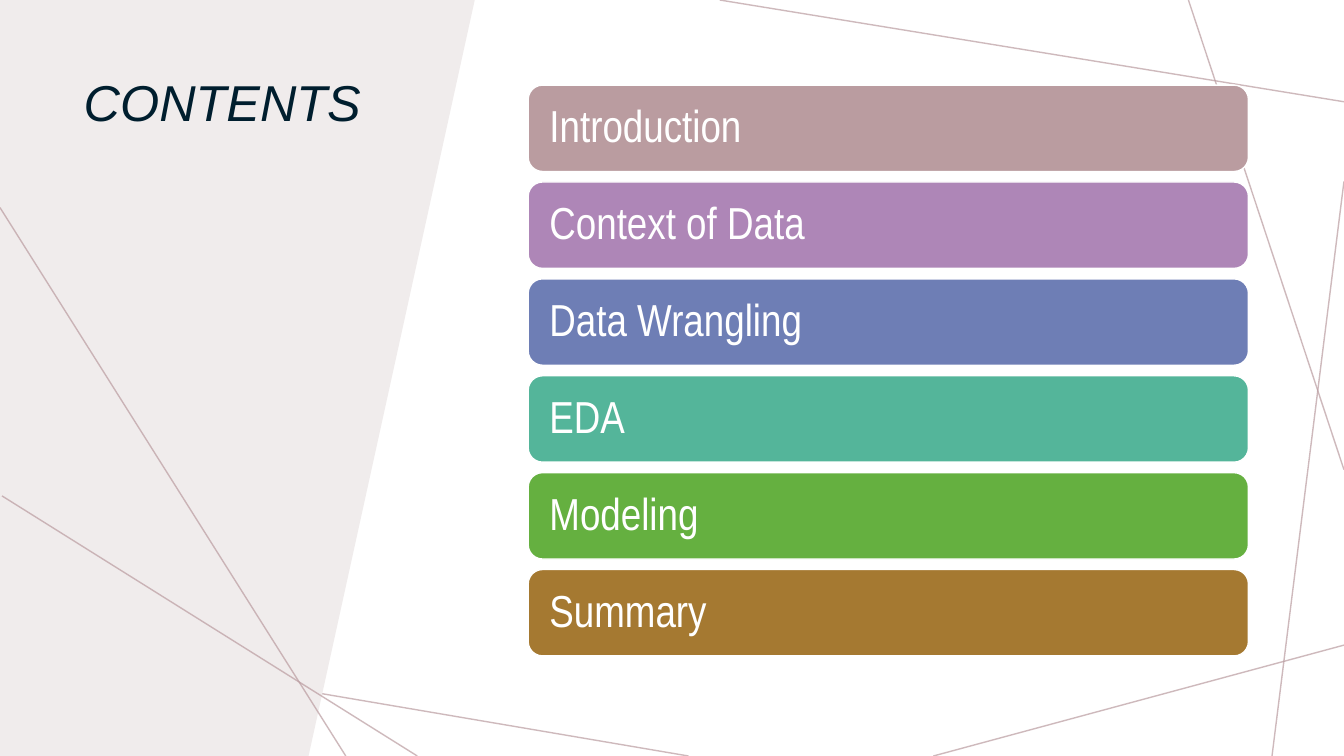
"""Build a contents slide with coloured section bars."""
import dataclasses

import lxml.etree
import pptx
import pptx.dml.color
import pptx.enum.shapes
import pptx.enum.text
import pptx.oxml.ns
import pptx.util

Pt = pptx.util.Pt
TOP = pptx.enum.text.MSO_ANCHOR.TOP
MIDDLE = pptx.enum.text.MSO_ANCHOR.MIDDLE


@dataclasses.dataclass(frozen=True)
class Theme:
    """Colours, fonts and sizes shared by the slide."""
    white: str = "FFFFFF"
    ink: str = "001E2E"
    panel: str = "F0ECEC"
    accent: str = "BA9CA0"
    bars: tuple = ("BA9CA0", "AE86B7", "6E7EB5", "54B59A", "65B040", "A57931")
    title_font: str = "Arial"
    bar_font: str = "Arial Narrow"
    title_size: int = 36
    bar_size: int = 32
    line_width: int = 1


THEME = Theme()
WIDTH, HEIGHT = 960, 540
SECTIONS = ("Introduction", "Context of Data", "Data Wrangling", "EDA", "Modeling", "Summary")
BACK_LINES = (
    ((491.8, 540), (0, 456.4)),
    ((960, 460.8), (666.7, 540)),
    ((960, 129.6), (908.6, 540)),
    ((960, 335.5), (848.9, 0)),
    ((960, 72.7), (514.1, 0)),
)
FRONT_LINES = (
    ((298.1, 540), (1.4, 354.2)),
    ((0, 148.3), (247, 540)),
)


def color(value):
    """Return an RGB colour from its hexadecimal form."""
    return pptx.dml.color.RGBColor.from_string(value)


def write_text(shape, text, *, font, size, ink, italic=False, anchor=MIDDLE, insets=(7.2, 3.6)):
    """Write one left-aligned paragraph into a shape."""
    frame = shape.text_frame
    frame.word_wrap = True
    frame.auto_size = pptx.enum.text.MSO_AUTO_SIZE.NONE
    frame.vertical_anchor = anchor
    frame.margin_left = frame.margin_right = Pt(insets[0])
    frame.margin_top = frame.margin_bottom = Pt(insets[1])
    paragraph = frame.paragraphs[0]
    paragraph.alignment = pptx.enum.text.PP_ALIGN.LEFT
    paragraph.line_spacing = 0.9
    run = paragraph.add_run()
    run.text = text
    run.font.name = font
    run.font.size = Pt(size)
    run.font.italic = italic
    run.font.color.rgb = color(ink)


def draw_lines(slide, box, lines):
    """Draw translucent accent lines relative to the box."""
    left, top, _, _ = box
    name = pptx.oxml.ns.qn
    for (start_x, start_y), (end_x, end_y) in lines:
        connector = slide.shapes.add_connector(
            pptx.enum.shapes.MSO_CONNECTOR.STRAIGHT,
            Pt(left + start_x), Pt(top + start_y), Pt(left + end_x), Pt(top + end_y))
        connector.line.width = Pt(THEME.line_width)
        connector.line.color.rgb = color(THEME.accent)
        properties = connector.element.spPr
        tint = properties.find(".//" + name("a:srgbClr"))
        lxml.etree.SubElement(tint, name("a:alpha"), val="70000")
        lxml.etree.SubElement(properties, name("a:effectLst"))


def draw_panel(slide, box):
    """Draw the slanted panel that fills the box."""
    left, top, width, height = box
    builder = slide.shapes.build_freeform(Pt(left), Pt(top))
    builder.add_line_segments([
        (Pt(left + width), Pt(top)),
        (Pt(left + width * 0.65), Pt(top + height)),
        (Pt(left), Pt(top + height)),
    ])
    panel = builder.convert_to_shape()
    panel.shadow.inherit = False
    panel.fill.solid()
    panel.fill.fore_color.rgb = color(THEME.panel)
    panel.line.fill.background()


def place_title(slide, box, text):
    """Place the title placeholder in the box, in front of the panel."""
    title = slide.shapes.title
    title.left, title.top, title.width, title.height = map(Pt, box)
    slide.shapes.element.append(title.element)
    write_text(title, text, font=THEME.title_font, size=THEME.title_size,
               ink=THEME.ink, italic=True, anchor=TOP)


def draw_bars(slide, box, sections, gap):
    """Stack one rounded bar per section evenly in the box."""
    left, top, width, height = box
    bar_height = (height - gap * (len(sections) - 1)) / len(sections)
    for index, (section, fill) in enumerate(zip(sections, THEME.bars)):
        bar = slide.shapes.add_shape(
            pptx.enum.shapes.MSO_SHAPE.ROUNDED_RECTANGLE,
            Pt(left), Pt(top + index * (bar_height + gap)), Pt(width), Pt(bar_height))
        bar.shadow.inherit = False
        bar.fill.solid()
        bar.fill.fore_color.rgb = color(fill)
        bar.line.color.rgb = color(THEME.white)
        bar.line.width = Pt(THEME.line_width)
        write_text(bar, section, font=THEME.bar_font, size=THEME.bar_size,
                   ink=THEME.white, insets=(12.2, 9.6))


def build_contents(presentation):
    """Build the contents slide."""
    slide = presentation.slides.add_slide(presentation.slide_layouts[5])
    slide.background.fill.solid()
    slide.background.fill.fore_color.rgb = color(THEME.white)
    page = (0, 0, WIDTH, HEIGHT)
    draw_lines(slide, page, BACK_LINES)
    draw_panel(slide, (0, 0, 339.1, HEIGHT))
    place_title(slide, (52.6, 51.8, 233.3, 229.7), "CONTENTS")
    draw_lines(slide, page, FRONT_LINES)
    draw_bars(slide, (377.3, 60.8, 514.5, 407.7), SECTIONS, 7.5)


def main():
    """Create and save the presentation."""
    presentation = pptx.Presentation()
    presentation.slide_width = Pt(WIDTH)
    presentation.slide_height = Pt(HEIGHT)
    build_contents(presentation)
    presentation.save("out.pptx")


if __name__ == "__main__":
    main()
